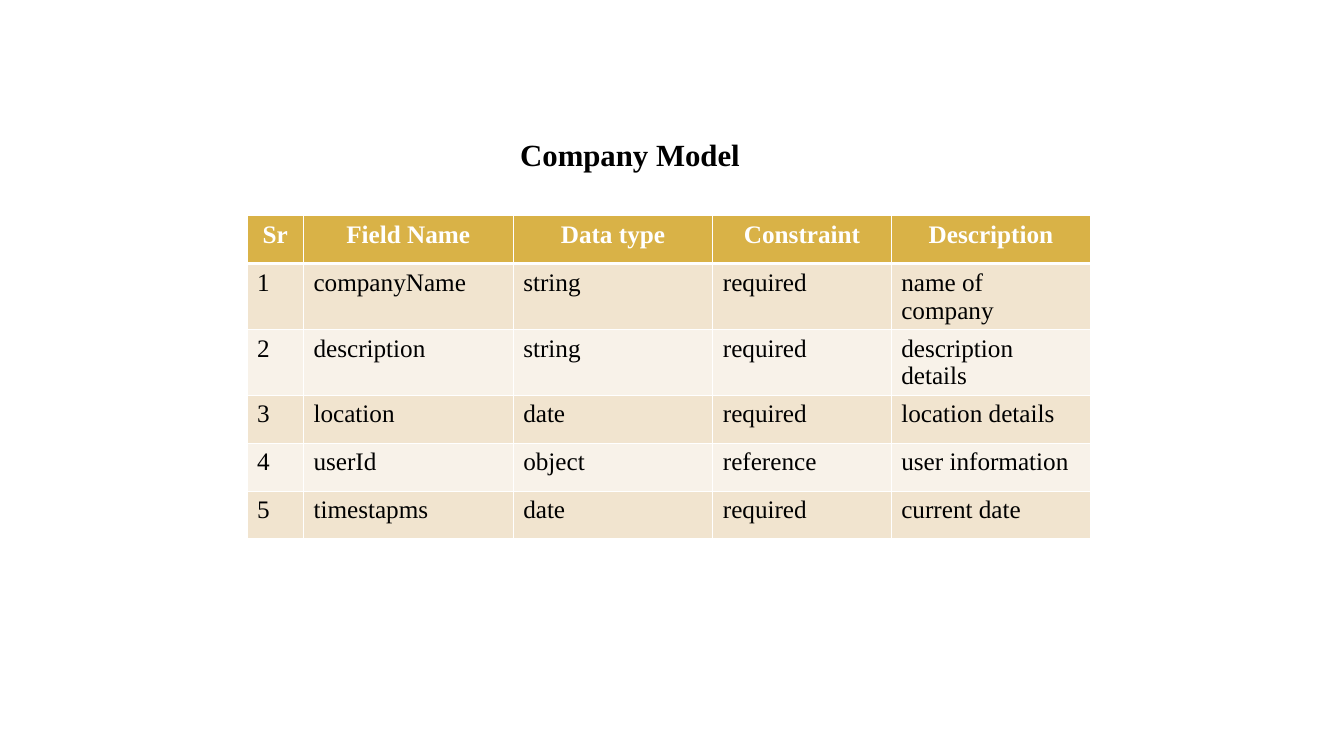
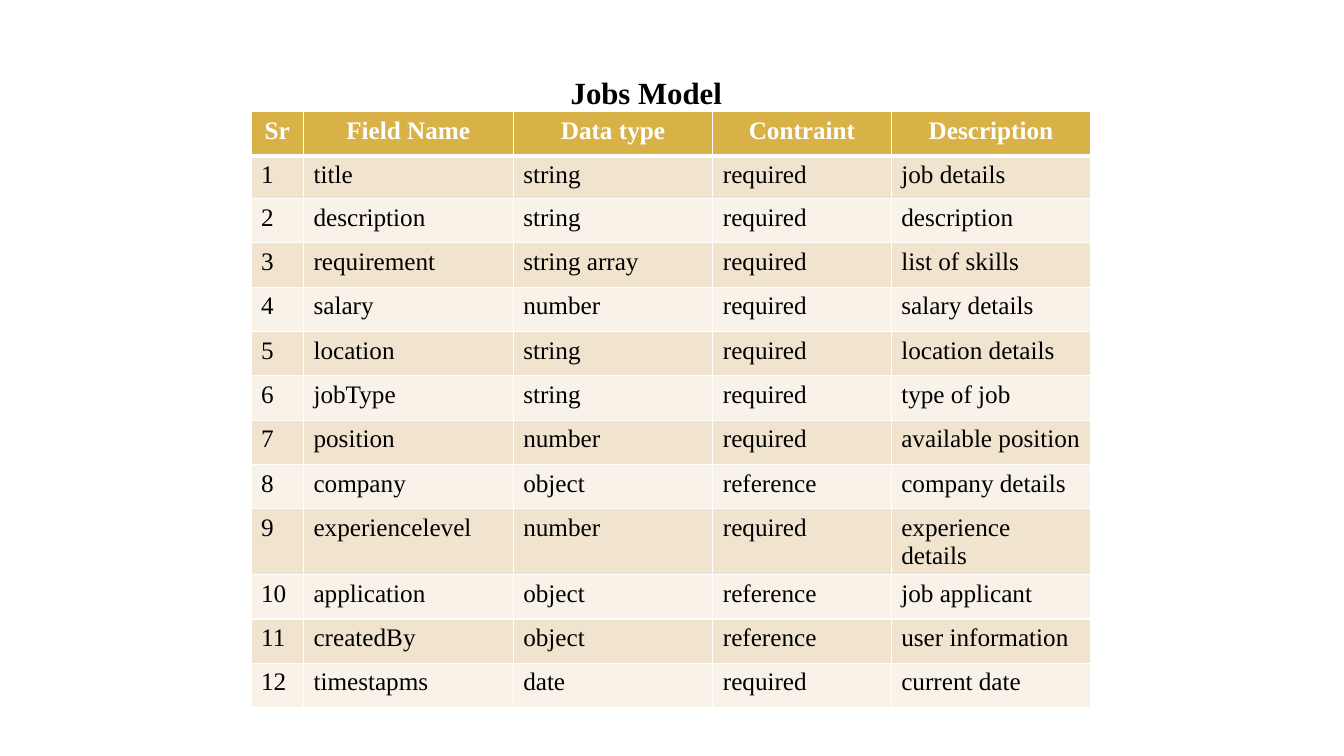
from lxml import etree
from pptx import Presentation
from pptx.dml.color import RGBColor
from pptx.enum.text import MSO_ANCHOR, MSO_AUTO_SIZE, PP_ALIGN
from pptx.oxml.ns import qn
from pptx.util import Inches, Pt

LEFT, CENTER = PP_ALIGN.LEFT, PP_ALIGN.CENTER
TOP = MSO_ANCHOR.TOP
NO_FIT = MSO_AUTO_SIZE.NONE

FONT = "Times New Roman"
BLACK, WHITE = "000000", "FFFFFF"
GOLD = "D9B247"
BANDS = ("F8F2E9", "F1E4CF")
FIELDS_X = 3.01
FIELD_COLS = (2.08, 1.98, 1.77, 1.98)
TITLE_SIZE = (2.73, 0.47)

COMPANY_HEAD = ("Sr", "Field Name", "Data type", "Constraint", "Description")
COMPANY_FIELDS = (
    ("companyName", "string", "required", "name of company"),
    ("description", "string", "required", "description details"),
    ("location", "date", "required", "location details"),
    ("userId", "object", "reference", "user information"),
    ("timestapms", "date", "required", "current date"),
)
JOBS_HEAD = ("Sr", "Field Name", "Data type", "Contraint", "Description")
JOBS_FIELDS = (
    ("title", "string", "required", "job details"),
    ("description", "string", "required", "description"),
    ("requirement", "string array", "required", "list of skills"),
    ("salary", "number", "required", "salary details"),
    ("location", "string", "required", "location details"),
    ("jobType", "string", "required", "type of job"),
    ("position", "number", "required", "available position"),
    ("company", "object", "reference", "company details"),
    ("experiencelevel", "number", "required", "experience details"),
    ("application", "object", "reference", "job applicant"),
    ("createdBy", "object", "reference", "user information"),
    ("timestapms", "date", "required", "current date"),
)


def rgb(value):
    return RGBColor.from_string(value)


def style_text(p, size, color, bold, align):
    p.alignment = align
    for r in p.runs:
        r.font.name = FONT
        r.font.size = Pt(size)
        r.font.bold = bold
        r.font.color.rgb = rgb(color)


def set_borders(cell, top, bottom):
    tc_pr = cell._tc.get_or_add_tcPr()
    widths = (("a:lnL", 1), ("a:lnR", 1), ("a:lnT", top), ("a:lnB", bottom))
    for i, (tag, width) in enumerate(widths):
        ln = etree.Element(qn(tag), w=str(Pt(width)))
        fill = etree.SubElement(ln, qn("a:solidFill"))
        etree.SubElement(fill, qn("a:srgbClr"), val=WHITE)
        tc_pr.insert(i, ln)


def add_title(slide, text, left, top):
    sp = slide.shapes.title
    sp.left, sp.top = Inches(left), Inches(top)
    sp.width, sp.height = (Inches(v) for v in TITLE_SIZE)
    tf = sp.text_frame
    tf.text = text
    tf.word_wrap = True
    tf.auto_size = NO_FIT
    tf.vertical_anchor = TOP
    style_text(tf.paragraphs[0], 22, BLACK, True, LEFT)


def add_model_table(slide, head, fields, top, sr_width, row_height, first_height):
    rows = [head] + [(str(n), *field) for n, field in enumerate(fields, 1)]
    cols = (sr_width, *FIELD_COLS)
    heights = [row_height, first_height] + [row_height] * (len(fields) - 1)
    table = slide.shapes.add_table(
        len(rows), len(cols), Inches(FIELDS_X - sr_width), Inches(top),
        Inches(sum(cols)), Inches(sum(heights))).table
    for col, width in zip(table.columns, cols):
        col.width = Inches(width)
    for i, (row, values) in enumerate(zip(table.rows, rows)):
        row.height = Inches(heights[i])
        is_head = i == 0
        for cell, value in zip(row.cells, values):
            cell.text = value
            cell.fill.solid()
            cell.fill.fore_color.rgb = rgb(GOLD if is_head else BANDS[i % 2])
            set_borders(cell, 3 if i == 1 else 1, 3 if is_head else 1)
            style_text(cell.text_frame.paragraphs[0], 18,
                       WHITE if is_head else BLACK, is_head,
                       CENTER if is_head else LEFT)


def add_model_slide(prs, title, title_at, head, fields, **layout):
    slide = prs.slides.add_slide(prs.slide_layouts.get_by_name("Title Only"))
    add_title(slide, title, *title_at)
    add_model_table(slide, head, fields, **layout)


def main():
    prs = Presentation()
    prs.slide_width, prs.slide_height = Inches(13.33), Inches(7.5)
    add_model_slide(prs, "Company Model", (5.06, 1.3), COMPANY_HEAD, COMPANY_FIELDS,
                    top=2.14, sr_width=0.56, row_height=0.475, first_height=0.45)
    add_model_slide(prs, "Jobs Model", (5.56, 0.68), JOBS_HEAD, JOBS_FIELDS,
                    top=1.11, sr_width=0.52, row_height=0.44, first_height=0.42)
    prs.save("out.pptx")


if __name__ == "__main__":
    main()
